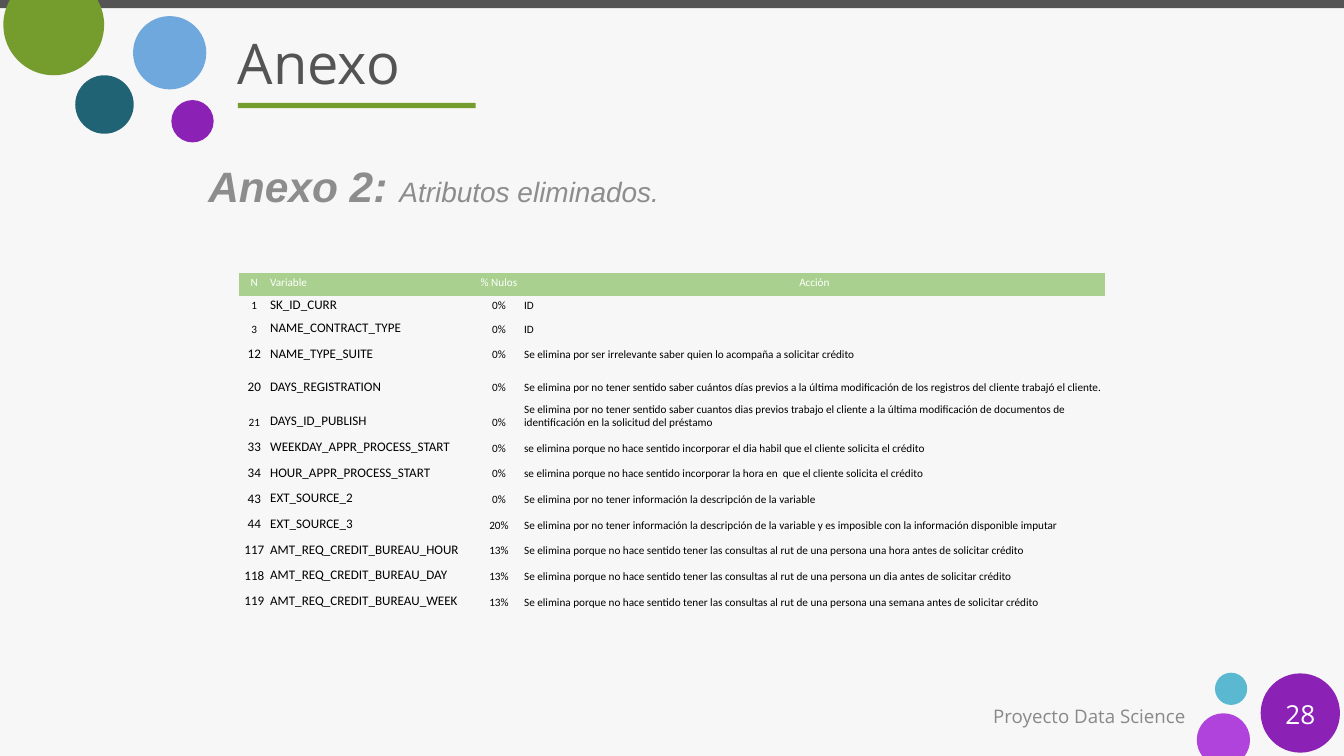
"""Build the appendix slide that lists the removed attributes."""
from math import asin, cos, pi, sin, tan

from lxml.etree import SubElement
from pptx import Presentation
from pptx.dml.color import RGBColor
from pptx.enum.shapes import MSO_SHAPE
from pptx.enum.text import MSO_ANCHOR, PP_ALIGN
from pptx.oxml.ns import qn
from pptx.util import Inches, Pt

WHITE = RGBColor(0xFF, 0xFF, 0xFF)
BLACK = RGBColor(0x00, 0x00, 0x00)
PAPER = RGBColor(0xF7, 0xF7, 0xF7)
CHARCOAL = RGBColor(0x54, 0x54, 0x54)
GRAY = RGBColor(0x89, 0x89, 0x89)
SUBTITLE_GRAY = RGBColor(0x8D, 0x8D, 0x8D)
PURPLE = RGBColor(0x8C, 0x21, 0xB6)
ORCHID = RGBColor(0xB1, 0x43, 0xDD)
GREEN = RGBColor(0x74, 0x9D, 0x2D)
HEADER_GREEN = RGBColor(0xA9, 0xD0, 0x8E)
TEAL = RGBColor(0x20, 0x63, 0x75)
BLUE = RGBColor(0x6F, 0xA8, 0xDC)
CYAN = RGBColor(0x5B, 0xB8, 0xD1)

presentation = Presentation()
presentation.slide_width = Inches(20)
presentation.slide_height = Inches(11.25)
COLUMN = presentation.slide_width / 100
ROW = presentation.slide_height / 100

slide = presentation.slides.add_slide(presentation.slide_layouts[6])
slide.background.fill.solid()
slide.background.fill.fore_color.rgb = PAPER


def paint(shape, color):
    shape.shadow.inherit = False
    shape.fill.solid()
    shape.fill.fore_color.rgb = color
    shape.line.fill.background()


def add_run(paragraph, text, size, font_name, color):
    run = paragraph.add_run()
    run.text = text
    run.font.size = Pt(size)
    run.font.name = font_name
    run.font.color.rgb = color
    return run


bars = [(0, 0, 100, 1.07, CHARCOAL), (17.7, 13.6, 17.7, 0.71, GREEN)]
for left, top, width, height, color in bars:
    bar = slide.shapes.add_shape(
        MSO_SHAPE.RECTANGLE,
        int(left * COLUMN), int(top * ROW), int(width * COLUMN), int(height * ROW))
    paint(bar, color)

circles = [
    (12.75, 13.24, 3.15, PURPLE),
    (5.6, 9.96, 4.35, TEAL),
    (9.9, 2.13, 5.45, BLUE),
    (90.4, 88.98, 2.4, CYAN),
    (93.8, 89.07, 5.9, PURPLE),
]
for left, top, diameter, color in circles:
    side = int(diameter * COLUMN)
    circle = slide.shapes.add_shape(
        MSO_SHAPE.OVAL, int(left * COLUMN), int(top * ROW), side, side)
    paint(circle, color)

cut_circles = [(4, 3.29, 3.75, 0, 0, GREEN), (91.03, 97.87, 1.98, 100, pi, ORCHID)]
for center_x, center_y, radius, edge, turn, color in cut_circles:
    reach = radius * COLUMN
    cut = asin(abs(edge - center_y) * ROW / reach)
    angles = [turn - cut, turn, turn + pi / 2, turn + pi, turn + pi + cut]
    points = [(int(center_x * COLUMN + reach * cos(angle)),
               int(center_y * ROW + reach * sin(angle))) for angle in angles]
    builder = slide.shapes.build_freeform(*points[0])
    builder.add_line_segments(points[1:], close=True)
    cut_circle = builder.convert_to_shape()
    paint(cut_circle, color)
    segments = list(cut_circle._element.iter(qn("a:lnTo")))
    for index, segment in enumerate(segments):
        start, end = angles[index:index + 2]
        pull = reach * 4 / 3 * tan((end - start) / 4)
        segment.tag = qn("a:cubicBezTo")
        for position, (angle, sign) in enumerate([(start, 1), (end, -1)]):
            x, y = points[index + position]
            handle = SubElement(segment, qn("a:pt"))
            handle.set("x", str(int(x - sign * pull * sin(angle) - cut_circle.left)))
            handle.set("y", str(int(y + sign * pull * cos(angle) - cut_circle.top)))
        segment.append(segment[0])

labels = [
    (93.8, 91.73, 5.9, 5.33, "28", 28, WHITE, PP_ALIGN.CENTER),
    (16.8, 2.4, 78.45, 11.73, "Anexo", 60, CHARCOAL, PP_ALIGN.LEFT),
    (57.45, 92, 31.65, 5.33, "Proyecto Data Science", 20, GRAY, PP_ALIGN.RIGHT),
    (14.6, 19.02, 76.2, 5.33, "", 0, SUBTITLE_GRAY, PP_ALIGN.LEFT),
]
for left, top, width, height, text, size, color, alignment in labels:
    box = slide.shapes.add_textbox(
        int(left * COLUMN), int(top * ROW), int(width * COLUMN), int(height * ROW))
    frame = box.text_frame
    frame.word_wrap = True
    frame.margin_left = frame.margin_right = int(0.9 * COLUMN)
    frame.margin_top = frame.margin_bottom = int(0.8 * ROW)
    paragraph = frame.paragraphs[0]
    paragraph.alignment = alignment
    if text:
        frame.vertical_anchor = MSO_ANCHOR.MIDDLE
        add_run(paragraph, text, size, "Open Sans", color)
    else:
        paragraph.line_spacing = 1.2
        heading = add_run(paragraph, "Anexo 2: ", 45.5, "Arial", color)
        detail = add_run(paragraph, "Atributos eliminados.", 30, "Arial", color)
        heading.font.bold = True
        heading.font.italic = detail.font.italic = True

QUERY = "Se elimina porque no hace sentido tener las consultas al rut de una persona {} antes de solicitar crédito"
NO_INFORMATION = "Se elimina por no tener información la descripción de la variable"
attributes = [
    ("N", "Variable", "% Nulos", "Acción"),
    ("1", "SK_ID_CURR", "0%", "ID"),
    ("3", "NAME_CONTRACT_TYPE", "0%", "ID"),
    ("12", "NAME_TYPE_SUITE", "0%",
     "Se elimina por ser irrelevante saber quien lo acompaña a solicitar crédito"),
    ("20", "DAYS_REGISTRATION", "0%",
     "Se elimina por no tener sentido saber cuántos días previos a la última "
     "modificación de los registros del cliente trabajó el cliente."),
    ("21", "DAYS_ID_PUBLISH", "0%",
     "Se elimina por no tener sentido saber cuantos dias previos trabajo el cliente a la última "
     "modificación de documentos de identificación en la solicitud del préstamo"),
    ("33", "WEEKDAY_APPR_PROCESS_START", "0%",
     "se elimina porque no hace sentido incorporar el dia habil que el cliente solicita el crédito"),
    ("34", "HOUR_APPR_PROCESS_START", "0%",
     "se elimina porque no hace sentido incorporar la hora en  que el cliente solicita el crédito"),
    ("43", "EXT_SOURCE_2", "0%", NO_INFORMATION),
    ("44", "EXT_SOURCE_3", "20%",
     NO_INFORMATION + " y es imposible con la información disponible imputar"),
    ("117", "AMT_REQ_CREDIT_BUREAU_HOUR", "13%", QUERY.format("una hora")),
    ("118", "AMT_REQ_CREDIT_BUREAU_DAY", "13%", QUERY.format("un dia")),
    ("119", "AMT_REQ_CREDIT_BUREAU_WEEK", "13%", QUERY.format("una semana")),
]
SMALL_NUMBERS = ("1", "3", "21")
TALL_NUMBERS = ("20", "21")
column_shares = [2.25, 15.25, 3.65, 43.3]
row_shares = [1.96] + [4.36 if row[0] in TALL_NUMBERS else 2.31 for row in attributes[1:]]

table = slide.shapes.add_table(
    len(attributes), len(column_shares), int(17.8 * COLUMN), int(36.15 * ROW),
    int(sum(column_shares) * COLUMN), int(sum(row_shares) * ROW)).table
table.first_row = table.horz_banding = False
table._tbl.tblPr[0].text = "{2D5ABB26-0587-4C30-8999-92F81FD0307C}"
for table_column, share in zip(table.columns, column_shares):
    table_column.width = int(share * COLUMN)
for table_row, share in zip(table.rows, row_shares):
    table_row.height = int(share * ROW)

for row_index, values in enumerate(attributes):
    is_header = row_index == 0
    for column_index, value in enumerate(values):
        cell = table.cell(row_index, column_index)
        cell.vertical_anchor = MSO_ANCHOR.BOTTOM
        cell.margin_left = cell.margin_right = int(0.05 * COLUMN)
        cell.margin_top = int(0.11 * ROW)
        cell.margin_bottom = int(0.9 * ROW)
        if is_header:
            cell.fill.solid()
            cell.fill.fore_color.rgb = HEADER_GREEN
        else:
            cell.fill.background()
        paragraph = cell.text_frame.paragraphs[0]
        if column_index in (0, 2) or (is_header and column_index == 3):
            paragraph.alignment = PP_ALIGN.CENTER
            paragraph.line_spacing = 1.15
        is_large = not is_header and (
            column_index == 1 or (column_index == 0 and value not in SMALL_NUMBERS))
        add_run(paragraph, value, 14 if is_large else 12, "Calibri",
                WHITE if is_header else BLACK)

presentation.save("out.pptx")
